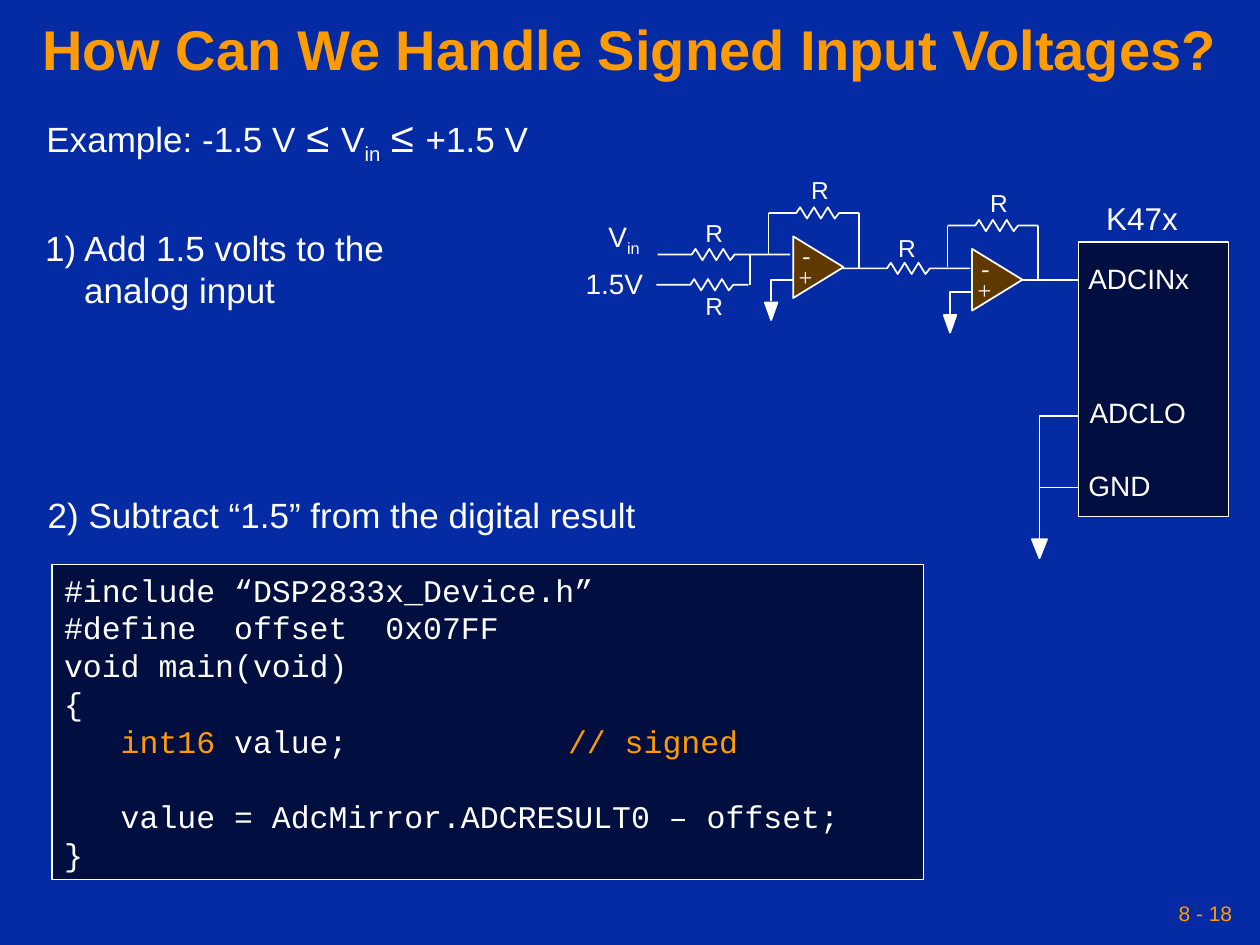
from lxml.etree import SubElement
from pptx import Presentation
from pptx.dml.color import RGBColor
from pptx.enum.shapes import MSO_CONNECTOR as CONN, MSO_SHAPE as SHAPE
from pptx.enum.text import MSO_ANCHOR as ANCHOR, PP_ALIGN as ALIGN
from pptx.oxml.ns import qn
from pptx.util import Inches, Pt

COLORS = {"bg": "042AA4", "orange": "FE9B03", "white": "FFFFFF", "navy": "000F40", "brown": "603900"}
RGB = {name: RGBColor.from_string(value) for name, value in COLORS.items()}

prs = Presentation()
prs.slide_width, prs.slide_height = Inches(10), Inches(7.5)
s = prs.slides.add_slide(prs.slide_layouts[6])
s.background.fill.solid()
s.background.fill.fore_color.rgb = RGB["bg"]


def add_run(p, text, size=16, color="white", font="Arial", bold=False, base=0):
    r = p.add_run()
    r.text = text
    r.font.size, r.font.name, r.font.bold = Pt(size), font, bold
    r.font.color.rgb = RGB[color]
    if base:
        r._r.get_or_add_rPr().set("baseline", str(base * 1000))


def add_box(x, y, w, h, right=0, anchor=ANCHOR.TOP):
    tf = s.shapes.add_textbox(Inches(x), Inches(y), Inches(w), Inches(h)).text_frame
    tf.word_wrap = True
    tf.margin_right = Inches(right)
    tf.vertical_anchor = anchor
    return tf.paragraphs[0]


p = add_box(6.83, 7.08, 3, 0.33, right=0.05, anchor=ANCHOR.MIDDLE)
p.alignment = ALIGN.RIGHT
add_run(p, "8 - 18", size=12, color="orange")

p = add_box(0, 0.08, 10, 0.67, right=0.1, anchor=ANCHOR.MIDDLE)
p.alignment = ALIGN.CENTER
p.line_spacing = 0.9
add_run(p, "How Can We Handle Signed Input Voltages?", size=32, color="orange", bold=True)

p = add_box(0.27, 0.83, 4.17, 0.53)
add_run(p, "Example: -1.5 V", size=20)
add_run(p, " ", size=24, font="Times New Roman")
add_run(p, "≤ ", size=24)
add_run(p, "V", size=20)
add_run(p, "in", size=20, base=-25)
add_run(p, " ", size=24, font="Times New Roman")
add_run(p, "≤ ", size=24)
add_run(p, "+1.5 V", size=20)

p = add_box(0.26, 1.75, 3.65, 0.76)
pPr = p._p.get_or_add_pPr()
pPr.set("marL", str(Inches(0.31)))
pPr.set("indent", str(-Inches(0.31)))
p.line_spacing = Pt(24)
add_run(p, "1) Add 1.5 volts to the analog input", size=20)

add_run(add_box(0.28, 3.87, 5.61, 0.43), "2) Subtract “1.5” from the digital result", size=20)

shapes = [
    (SHAPE.RECTANGLE, 8.56, 1.92, 1.19, 2.18, 0, "navy"),
    (SHAPE.ISOSCELES_TRIANGLE, 8.19, 4.28, 0.12, 0.15, 180, "white"),
]
outlines = [
    [(8.56, 3.87), (8.25, 3.87), (8.25, 4.29)],
    [(8.25, 3.89), (8.25, 3.3), (8.56, 3.3)],
]
resistors = [
    (5.22, 5.49, 6.27, 2.02),
    (5.21, 5.48, 5.94, 2.26),
    (6.69, 7.04, 7.7, 2.13),
]
wires = [(5.95, 2.02, 5.95, 2.26), (8.11, 2.22, 8.56, 2.22)]
labels = [
    (4.55, 2.07, 0.65, 0.36, "1.5V", 16, "Arial"),
    (8.54, 2.03, 1.13, 0.36, "ADCINx", 16, "Arial"),
    (8.55, 3.09, 0.96, 0.36, "ADCLO", 16, "Arial"),
    (8.54, 3.67, 0.69, 0.36, "GND", 16, "Arial"),
    (8.68, 1.53, 0.78, 0.4, "K47x", 18, "Arial"),
    (5.5, 1.68, 0.34, 0.33, "R", 14, "Arial"),
    (5.5, 2.26, 0.34, 0.33, "R", 14, "Arial"),
    (7.03, 1.8, 0.34, 0.33, "R", 14, "Arial"),
]

for dx, dy in [(0, 0), (1.42, 0.1)]:
    shapes += [
        (SHAPE.ISOSCELES_TRIANGLE, 6.25 + dx, 1.92 + dy, 0.49, 0.4, 90, "brown"),
        (SHAPE.ISOSCELES_TRIANGLE, 6.07 + dx, 2.4 + dy, 0.1, 0.14, 180, "white"),
    ]
    outlines.append([(6.29 + dx, 2.22 + dy), (6.12 + dx, 2.22 + dy), (6.12 + dx, 2.39 + dy)])
    resistors.append((6.1 + dx, 6.32 + dx, 6.82 + dx, 1.69 + dy))
    wires += [
        (6.82 + dx, 2.13 + dy, 6.82 + dx, 1.69 + dy),
        (6.1 + dx, 2.02 + dy, 6.1 + dx, 1.69 + dy),
    ]
    labels += [
        (6.27 + dx, 1.86 + dy, 0.26, 0.33, "-", 14, "Times New Roman"),
        (6.24 + dx, 2.03 + dy, 0.31, 0.33, "+", 14, "Times New Roman"),
        (6.34 + dx, 1.34 + dy, 0.34, 0.33, "R", 14, "Arial"),
    ]

for left, zigzag, right, y in resistors:
    teeth = [(zigzag + 0.03 + 0.055 * i, y + (0.045 if i % 2 else -0.045)) for i in range(6)]
    outlines.append([(left, y), (zigzag, y), *teeth, (zigzag + 0.34, y), (right, y)])

shapes.append((SHAPE.RECTANGLE, 0.41, 4.48, 6.92, 2.5, 0, "navy"))
for kind, x, y, w, h, angle, fill in shapes:
    sp = s.shapes.add_shape(kind, Inches(x), Inches(y), Inches(w), Inches(h))
    sp.rotation = angle
    sp.shadow.inherit = False
    sp.fill.solid()
    sp.fill.fore_color.rgb = RGB[fill]
    sp.line.color.rgb = RGB["white"]
    sp.line.width = Pt(1)
code_box = sp

for points in outlines:
    start, *rest = [(Inches(x), Inches(y)) for x, y in points]
    builder = s.shapes.build_freeform(*start)
    builder.add_line_segments(rest, close=False)
    sp = builder.convert_to_shape()
    sp.shadow.inherit = False
    sp.fill.background()
    sp.line.color.rgb = RGB["white"]
    sp.line.width = Pt(1)

for ends in wires:
    wire = s.shapes.add_connector(CONN.STRAIGHT, *[Inches(v) for v in ends])
    wire.line.color.rgb = RGB["white"]
    wire.line.width = Pt(1)
    SubElement(wire._element.spPr, qn("a:effectLst"))

for x, y, w, h, text, size, font in labels:
    add_run(add_box(x, y, w, h), text, size=size, font=font)

p = add_box(4.73, 1.69, 0.45, 0.4)
add_run(p, "V")
add_run(p, "in", base=-25)

code = [
    [("#include “DSP2833x_Device.h”", "white")],
    [("#define  offset  0x07FF", "white")],
    [("void main(void)", "white")],
    [("{", "white")],
    [("   ", "white"), ("int16", "orange"), (" value;\t\t\t", "white"), ("// signed", "orange")],
    [("   value = AdcMirror.ADCRESULT0 – offset;", "white")],
    [("}", "white")],
]
tf = code_box.text_frame
tf.word_wrap = True
tf.vertical_anchor = ANCHOR.TOP
for i, line in enumerate(code):
    p = tf.add_paragraph() if i else tf.paragraphs[0]
    p.alignment = ALIGN.LEFT
    p.line_spacing = Pt(21.6)
    if i == 5:
        p.space_before = Pt(21.6)
    tabs = SubElement(p._p.get_or_add_pPr(), qn("a:tabLst"))
    for stop in (0.38, 1.63, 2.63, 3, 4):
        SubElement(tabs, qn("a:tab"), pos=str(Inches(stop)), algn="l")
    for text, color in line:
        add_run(p, text, size=18, color=color, font="Courier New")

prs.save("out.pptx")
